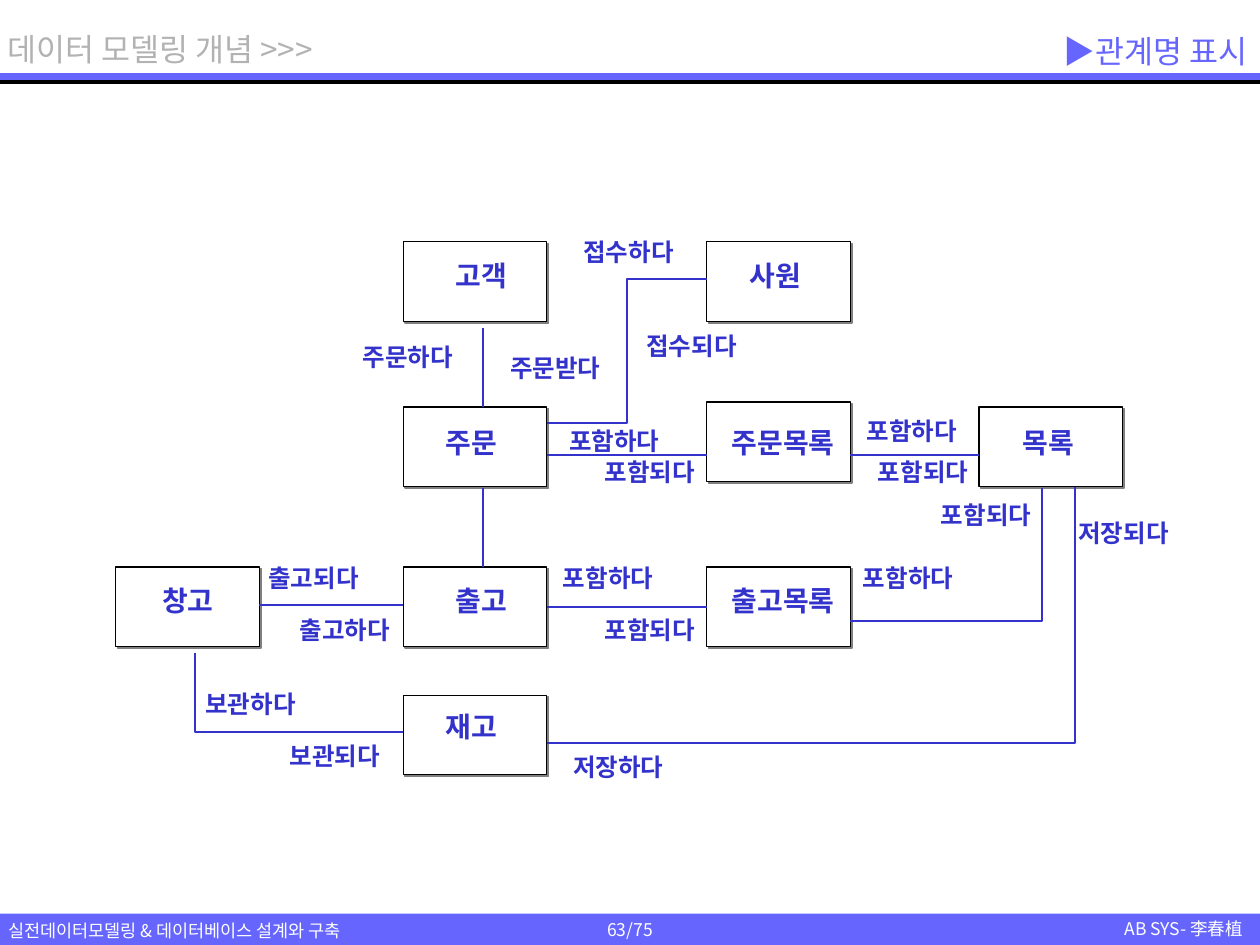
from dataclasses import dataclass

from lxml.etree import SubElement
from pptx import Presentation
from pptx.dml.color import RGBColor
from pptx.enum.shapes import MSO_CONNECTOR, MSO_SHAPE
from pptx.enum.text import MSO_ANCHOR, MSO_AUTO_SIZE, PP_ALIGN
from pptx.oxml.ns import qn
from pptx.util import Pt

FONT = "Noto Sans CJK KR"
BAR, INK, BLACK, WHITE, GREY = "6666FF", "3333CC", "000000", "FFFFFF", "B2B2B2"
SLIDE_W, SLIDE_H = 720, 540
BOX_W, BOX_H = 82, 45.4


@dataclass
class Entity:
    name: str
    left: float
    top: float
    name_left: float
    name_top: float


@dataclass
class Role:
    """A verb that names one end of a relationship."""
    verb: str
    left: float
    top: float


COL_1, COL_2, COL_3, COL_4 = 66.2, 230.4, 403.9, 559.4
ROW_1, ROW_2, ROW_3, ROW_4 = 138.2, 232.6, 324, 397.4

ENTITIES = [
    Entity("사원", COL_3, ROW_1, 421.2, 144),
    Entity("고객", COL_2, ROW_1, 253.4, 144),
    Entity("주문", COL_2, ROW_2, 247.7, 239.8),
    Entity("주문목록", COL_3, 229.7, 411.1, 239.8),
    Entity("목록", COL_4, ROW_2, 577.4, 239.8),
    Entity("출고목록", COL_3, ROW_3, 411.1, 329.8),
    Entity("출고", COL_2, ROW_3, 253.4, 329.8),
    Entity("재고", COL_2, ROW_4, 247.7, 401.8),
    Entity("창고", COL_1, ROW_3, 85.7, 329.8),
]

END_1, END_2, END_3 = (left + BOX_W for left in (COL_1, COL_2, COL_3))
BOTTOM_2 = ROW_2 + BOX_H + 0.6

RELATIONSHIPS = [
    [(111.6, 373), (111.6, 418.3), (COL_2, 418.3)],
    [(END_1, 345.6), (COL_2, 345.6)],
    [(276.2, 187.2), (276.2, ROW_2)],
    [(COL_3, 159.6), (358.4, 159.6), (358.4, 241.9), (END_2, 241.9)],
    [(END_2, 260.2), (COL_3, 260.2)],
    [(END_3, 260.2), (COL_4, 260.2)],
    [(END_2, 347), (COL_3, 347)],
    [(595.6, BOTTOM_2), (595.6, 354.7), (END_3, 354.7)],
    [(276.2, BOTTOM_2), (276.2, ROW_3)],
    [(614.1, BOTTOM_2), (614.1, 424.8), (END_2, 424.8)],
]

ROLES = [
    Role("주문하다", 200.2, 192.2), Role("주문받다", 284.4, 198),
    Role("접수하다", 326.2, 131.8), Role("접수되다", 362.2, 185.8),
    Role("포함하다", 318.2, 239.8), Role("포함되다", 338.4, 257.8),
    Role("포함하다", 488.2, 234), Role("포함되다", 494.6, 257.8),
    Role("포함되다", 530.6, 282.2), Role("포함하다", 486, 318.2),
    Role("포함되다", 338.4, 347.8), Role("포함하다", 314.6, 318.2),
    Role("출고되다", 146.2, 318.2), Role("출고하다", 164.2, 347.8),
    Role("보관하다", 110.2, 390.2), Role("보관되다", 158.4, 419.8),
    Role("저장하다", 320.4, 426.2), Role("저장되다", 609.1, 292.3),
]


def rgb(hex_color: str) -> RGBColor:
    return RGBColor.from_string(hex_color)


def write(shape, text: str, size: float, color: str, bold: bool = False,
          align=PP_ALIGN.LEFT, anchor=MSO_ANCHOR.TOP) -> None:
    frame = shape.text_frame
    frame.text = text
    frame.word_wrap = False
    frame.auto_size = MSO_AUTO_SIZE.NONE
    frame.vertical_anchor = anchor
    paragraph = frame.paragraphs[0]
    paragraph.alignment = align
    for run in paragraph.runs:
        font = run.font
        font.size, font.bold, font.name = Pt(size), bold, FONT
        font.color.rgb = rgb(color)
        east_asian = SubElement(font._element, qn("a:ea"), typeface=FONT)
        font._element.find(qn("a:latin")).addnext(east_asian)


def add_text(slide, text: str, left: float, top: float, width: float,
             height: float, size: float, color: str, **style) -> None:
    box = slide.shapes.add_textbox(Pt(left), Pt(top), Pt(width), Pt(height))
    write(box, text, size, color, **style)


def add_rect(slide, left: float, top: float, width: float, height: float, fill: str):
    rect = slide.shapes.add_shape(
        MSO_SHAPE.RECTANGLE, Pt(left), Pt(top), Pt(width), Pt(height))
    rect.shadow.inherit = False
    rect.fill.solid()
    rect.fill.fore_color.rgb = rgb(fill)
    rect.line.fill.background()
    return rect


def add_path(slide, points: list[tuple[float, float]], color: str, width: float) -> None:
    """Draw a straight connector for two points and a bent outline for more."""
    corners = [(Pt(x), Pt(y)) for x, y in points]
    if len(corners) == 2:
        path = slide.shapes.add_connector(MSO_CONNECTOR.STRAIGHT, *corners[0], *corners[1])
        SubElement(path._element.spPr, qn("a:effectLst"))
    else:
        builder = slide.shapes.build_freeform(*corners[0])
        builder.add_line_segments(corners[1:], close=False)
        path = builder.convert_to_shape()
        path.shadow.inherit = False
        path.fill.background()
    path.line.color.rgb = rgb(color)
    path.line.width = Pt(width)


def add_entity_box(slide, entity: Entity) -> None:
    box = add_rect(slide, entity.left, entity.top, BOX_W, BOX_H, WHITE)
    box.line.color.rgb = rgb(BLACK)
    box.line.width = Pt(0.75)
    effects = box._element.spPr.find(qn("a:effectLst"))
    shadow = SubElement(effects, qn("a:outerShdw"), blurRad="0", dist=str(Pt(1.4)),
                        dir="2700000", algn="ctr", rotWithShape="0")
    SubElement(shadow, qn("a:srgbClr"), val="808080")


def add_frame(slide) -> None:
    """Draw the header and footer bands with their texts."""
    footer = add_rect(slide, 0, 522, SLIDE_W, 18, BAR)
    write(footer, "63/75", 10, WHITE, align=PP_ALIGN.CENTER, anchor=MSO_ANCHOR.MIDDLE)
    add_rect(slide, 0, 41.8, SLIDE_W, 4.3, BAR)
    for y in (46.1, 46.8, 47.5):
        add_path(slide, [(0, y), (SLIDE_W, y)], BLACK, 0.75)
    add_text(slide, "실전데이터모델링 & 데이터베이스 설계와 구축", -2.2, 522, 225.4, 19.4, 10, WHITE)
    add_text(slide, "AB SYS- 李春植", 621.4, 521.3, 95.8, 19.4, 10, WHITE,
             align=PP_ALIGN.RIGHT)
    add_text(slide, "데이터 모델링 개념 >>>", -2.9, 13.7, 201.6, 28.8, 18, GREY)


def main() -> None:
    deck = Presentation()
    deck.slide_width, deck.slide_height = Pt(SLIDE_W), Pt(SLIDE_H)
    slide = deck.slides.add_slide(deck.slide_layouts[5])

    add_frame(slide)
    title = slide.shapes.title
    title.left, title.top, title.width, title.height = Pt(360), Pt(13.7), Pt(360), Pt(31)
    write(title, "▶관계명 표시", 18, BAR, align=PP_ALIGN.RIGHT, anchor=MSO_ANCHOR.MIDDLE)

    for entity in ENTITIES:
        add_entity_box(slide, entity)
    for points in RELATIONSHIPS:
        add_path(slide, points, INK, 1)
    for role in ROLES:
        add_text(slide, role.verb, role.left, role.top, 66.2, 24.5, 14, INK, bold=True)
    for entity in ENTITIES:
        width = 15 + 14.4 * len(entity.name)
        add_text(slide, entity.name, entity.name_left, entity.name_top, width, 26.6,
                 16, INK, bold=True)

    deck.save("out.pptx")


if __name__ == "__main__":
    main()
